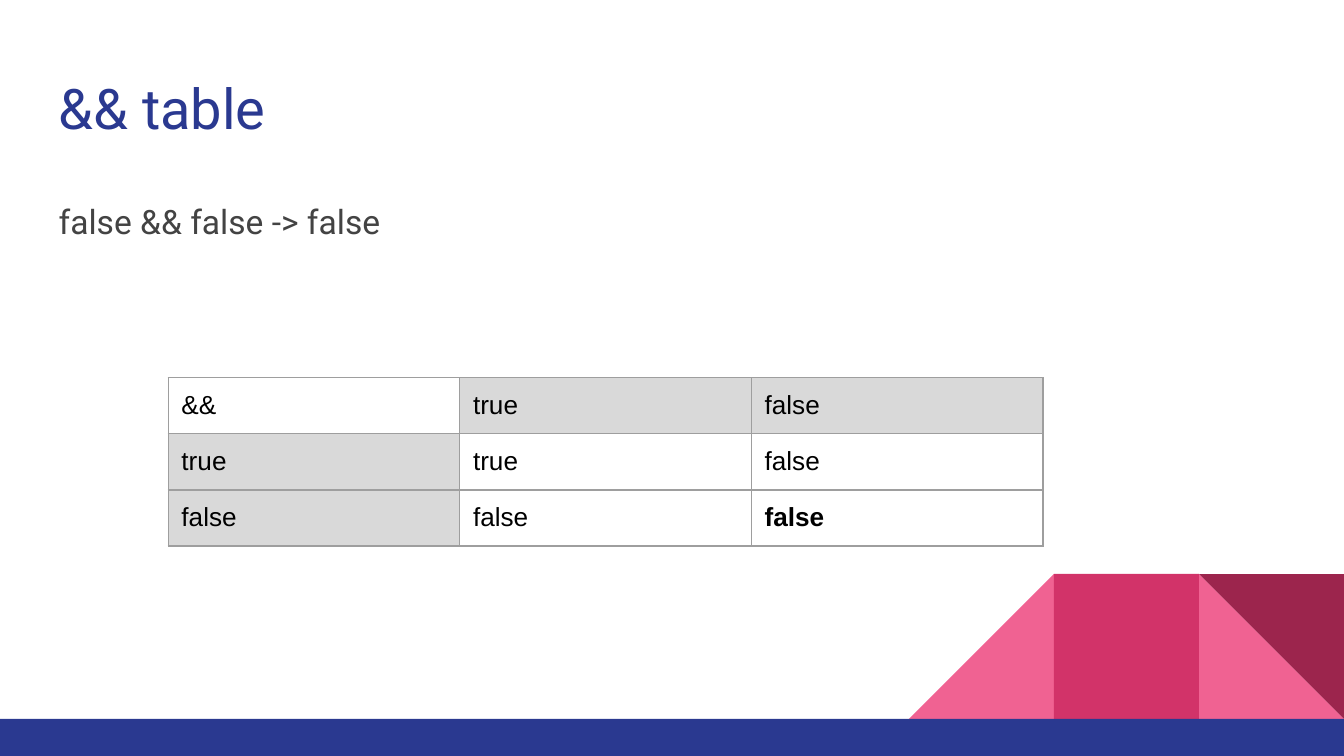
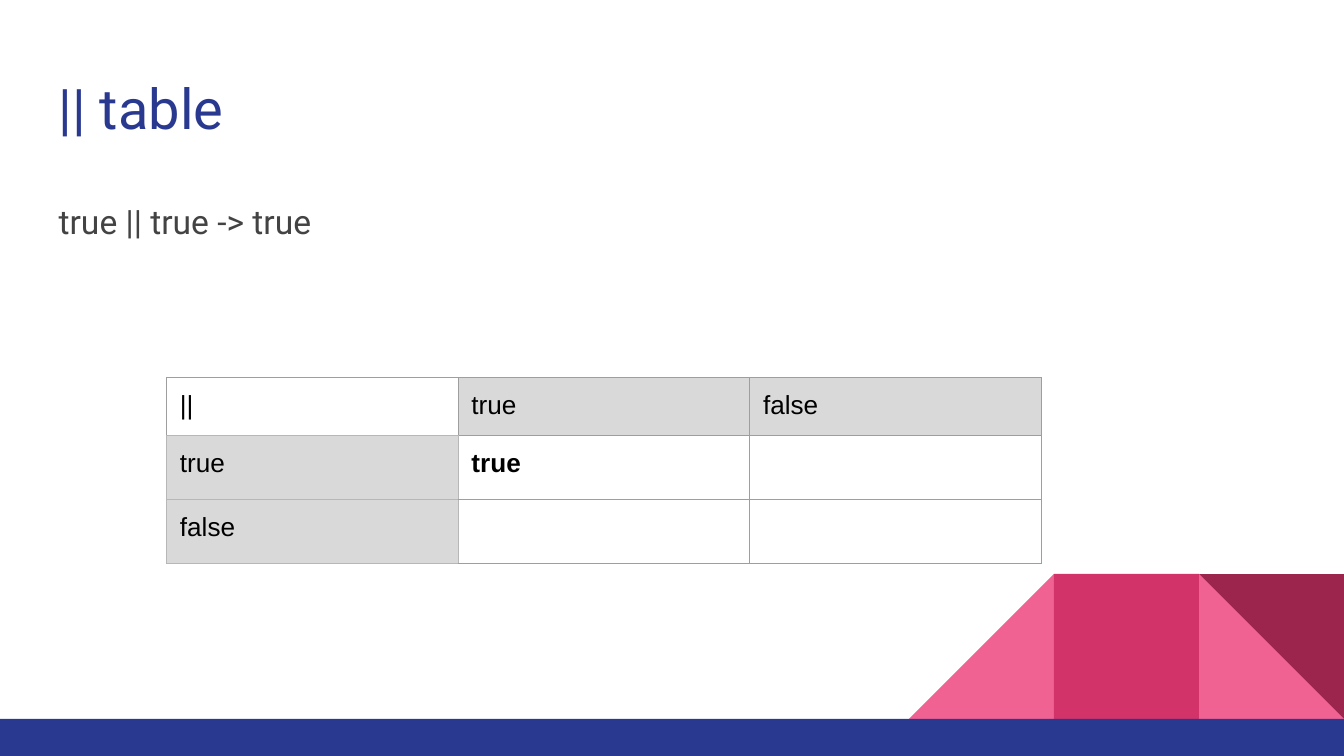
"""Builds two slides with truth tables for the && and || operators."""
from dataclasses import dataclass

from lxml import etree
from pptx import Presentation
from pptx import util as u
from pptx.dml.color import RGBColor
from pptx.enum import shapes, text
from pptx.oxml.ns import qn

SLIDES = [
    {
        "title": "&& table",
        "example": "false && false -> false",
        "example_size": (6.91, 1.68),
        "table_left": 3.18,
        "row_heights": (1.06, 1.06, 1.06),
        "cells": [
            ("&&", "true", "false"),
            ("true", "true", "false"),
            ("false", "false", "false"),
        ],
        "result": (2, 2),
        "stub_border": "9E9E9E",
    },
    {
        "title": "|| table",
        "example": "true || true -> true",
        "example_size": (23.67, 9.27),
        "table_left": 3.15,
        "row_heights": (1.09, 1.21, 1.21),
        "cells": [
            ("||", "true", "false"),
            ("true", "true", ""),
            ("false", "", ""),
        ],
        "result": (1, 1),
        "stub_border": "B7B7B7",
    },
]


@dataclass(frozen=True)
class Theme:
    navy: str = "2A3990"
    pink: str = "F06292"
    rose: str = "D23369"
    wine: str = "9C254D"
    body: str = "434343"
    black: str = "000000"
    header: str = "D9D9D9"
    border: str = "9E9E9E"
    heading_font: str = "Roboto"
    table_font: str = "Arial"
    title_size: float = 30
    body_size: float = 18
    table_size: float = 14
    border_width: float = 0.75


THEME = Theme()
WIDTH, HEIGHT = 25.4, 14.29
MARGIN = 0.86
INSET = 0.25
TILE = 2.74
FOOTER_TOP = 13.59
TABLE_TOP = 7.14
COLUMN_WIDTH = 5.51

TRIANGLE = shapes.MSO_SHAPE.RIGHT_TRIANGLE
RECTANGLE = shapes.MSO_SHAPE.RECTANGLE
TILES = [
    (TRIANGLE, 2, 0, THEME.pink),
    (TRIANGLE, 0, 270, THEME.pink),
    (RECTANGLE, 1, 0, THEME.rose),
    (TRIANGLE, 2, 180, THEME.wine),
]


def style_font(font, name, size, color, bold=False):
    font.name, font.size, font.bold = name, u.Pt(size), bold
    font.color.rgb = RGBColor.from_string(color)


def set_insets(target):
    target.margin_left = target.margin_right = u.Cm(INSET)
    target.margin_top = target.margin_bottom = u.Cm(INSET)


def add_block(slide, kind, left, top, width, height, color, rotation=0):
    shape = slide.shapes.add_shape(kind, u.Cm(left), u.Cm(top), u.Cm(width), u.Cm(height))
    shape.rotation = rotation
    shape.shadow.inherit = False
    shape.fill.solid()
    shape.fill.fore_color.rgb = RGBColor.from_string(color)
    shape.line.fill.background()


def add_decoration(slide):
    first_left = WIDTH - 3 * TILE
    for kind, column, rotation, color in TILES:
        add_block(slide, kind, first_left + column * TILE, FOOTER_TOP - TILE,
                  TILE, TILE, color, rotation)
    add_block(slide, RECTANGLE, 0, FOOTER_TOP, WIDTH, HEIGHT - FOOTER_TOP, THEME.navy)


def fill_text(shape, content, size, color):
    frame = shape.text_frame
    frame.text = content
    frame.word_wrap = True
    frame.auto_size = text.MSO_AUTO_SIZE.NONE
    frame.vertical_anchor = text.MSO_ANCHOR.TOP
    set_insets(frame)
    paragraph = frame.paragraphs[0]
    paragraph.alignment = text.PP_ALIGN.LEFT
    style_font(paragraph.font, THEME.heading_font, size, color)
    return paragraph


def add_title(slide, content):
    title = slide.shapes.title
    title.left, title.top = u.Cm(MARGIN), u.Cm(1.14)
    title.width, title.height = u.Cm(WIDTH - 2 * MARGIN), u.Cm(1.68)
    fill_text(title, content, THEME.title_size, THEME.navy).line_spacing = 1.0


def add_example(slide, content, size):
    box = slide.shapes.add_textbox(u.Cm(MARGIN), u.Cm(3.43), *map(u.Cm, size))
    paragraph = fill_text(box, content, THEME.body_size, THEME.body)
    paragraph.line_spacing = 1.15
    paragraph.space_after = u.Pt(16)


def border_colors(row, column, stub_border):
    """Edges that touch a row header take the stub colour."""
    stub = column == 0 and row > 0
    return {
        "lnL": stub_border if stub or (column == 1 and row > 0) else THEME.border,
        "lnR": stub_border if stub else THEME.border,
        "lnT": stub_border if stub else THEME.border,
        "lnB": stub_border if column == 0 else THEME.border,
    }


def set_borders(cell, colors):
    properties = cell._tc.get_or_add_tcPr()
    for index, (edge, color) in enumerate(colors.items()):
        line = etree.Element(qn(f"a:{edge}"), w=str(u.Pt(THEME.border_width)))
        fill = etree.SubElement(line, qn("a:solidFill"))
        etree.SubElement(fill, qn("a:srgbClr"), val=color)
        properties.insert(index, line)


def add_truth_table(slide, content):
    rows, heights = content["cells"], content["row_heights"]
    columns = len(rows[0])
    table = slide.shapes.add_table(
        len(rows), columns, u.Cm(content["table_left"]), u.Cm(TABLE_TOP),
        u.Cm(columns * COLUMN_WIDTH), u.Cm(sum(heights))).table
    table.first_row = table.horz_banding = False
    for column in table.columns:
        column.width = u.Cm(COLUMN_WIDTH)
    for row, values in enumerate(rows):
        table.rows[row].height = u.Cm(heights[row])
        for column, value in enumerate(values):
            cell = table.cell(row, column)
            cell.text = value
            set_insets(cell)
            style_font(cell.text_frame.paragraphs[0].font, THEME.table_font,
                       THEME.table_size, THEME.black, (row, column) == content["result"])
            if (row == 0) != (column == 0):
                cell.fill.solid()
                cell.fill.fore_color.rgb = RGBColor.from_string(THEME.header)
            else:
                cell.fill.background()
            set_borders(cell, border_colors(row, column, content["stub_border"]))


def main():
    presentation = Presentation()
    presentation.slide_width, presentation.slide_height = u.Cm(WIDTH), u.Cm(HEIGHT)
    title_only = presentation.slide_layouts[5]
    for content in SLIDES:
        slide = presentation.slides.add_slide(title_only)
        add_decoration(slide)
        add_title(slide, content["title"])
        add_example(slide, content["example"], content["example_size"])
        add_truth_table(slide, content)
    presentation.save("out.pptx")


if __name__ == "__main__":
    main()
